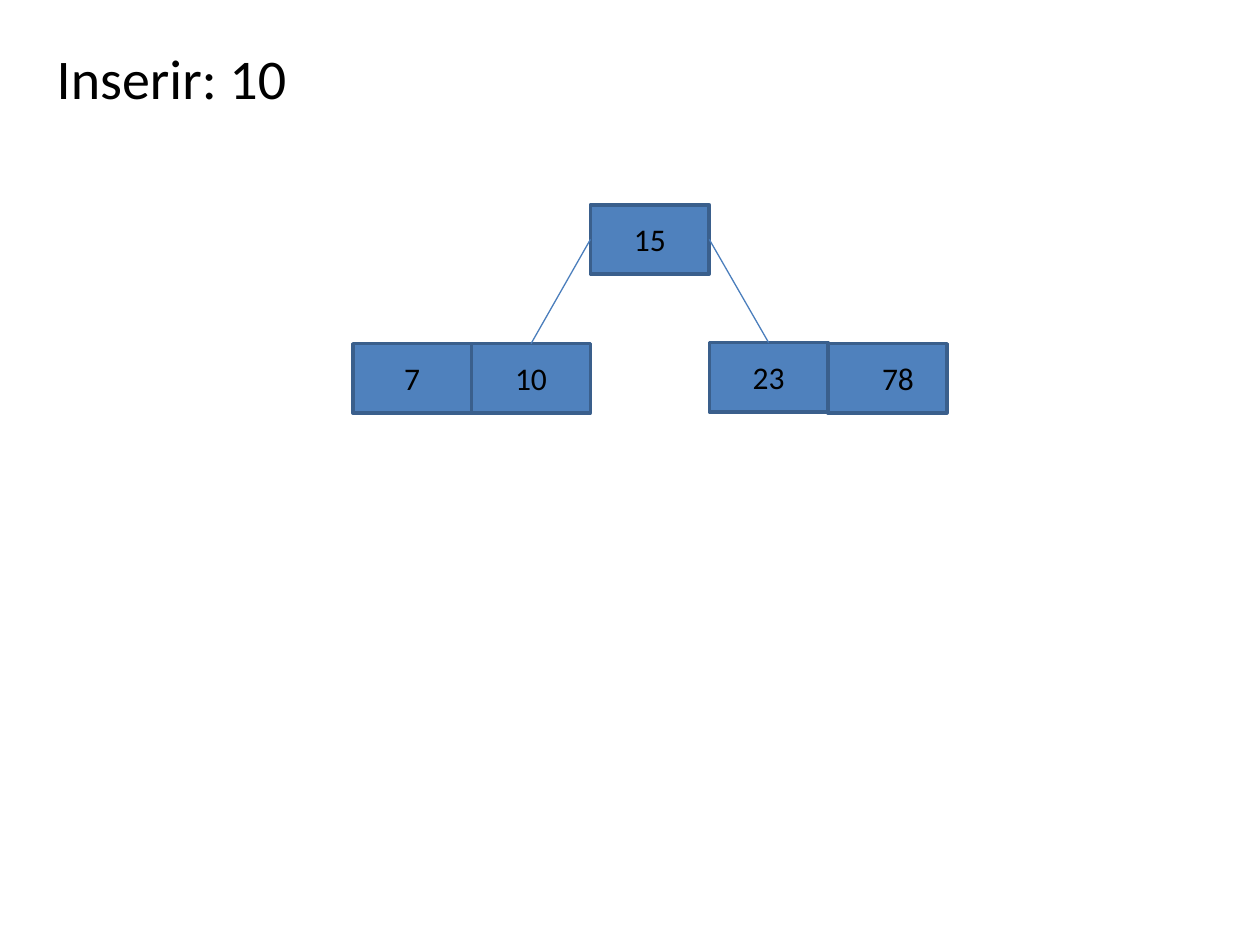
from pptx import Presentation
from pptx.dml.color import RGBColor
from pptx.enum.shapes import MSO_CONNECTOR as Connector, MSO_SHAPE as Shape
from pptx.enum.text import MSO_ANCHOR as Anchor, MSO_AUTO_SIZE as AutoSize, PP_ALIGN as Align
from pptx.oxml.ns import qn
from pptx.util import Pt
from lxml.etree import SubElement

BLACK = RGBColor(0x00, 0x00, 0x00)
CELL_FILL = RGBColor(0x4F, 0x81, 0xBD)
CELL_BORDER = RGBColor(0x3A, 0x5F, 0x8C)
BRANCH_COLOR = RGBColor(0x4B, 0x7E, 0xBC)

TREE_LEFT = 201.6
CELL_WIDTH, CELL_HEIGHT = 67.9, 39.6
LABEL_WIDTH, LABEL_HEIGHT = 56.8, 29
ROOT_TOP, LEAF_TOP = 117, 196.4


def write_text(frame, text, size=18, align=Align.CENTER, color=BLACK, font="Calibri"):
    frame.word_wrap = True
    frame.vertical_anchor = Anchor.TOP
    paragraph = frame.paragraphs[0]
    paragraph.alignment = align
    paragraph.space_before = Pt(0)
    run = paragraph.add_run()
    run.text = text
    run.font.size = Pt(size)
    run.font.name = font
    run.font.color.rgb = color


def add_heading(slide, text):
    heading = slide.placeholders[1]
    heading.left, heading.top = Pt(25.2), Pt(21)
    heading.width, heading.height = Pt(476), Pt(51)
    write_text(heading.text_frame, text, size=32, align=Align.LEFT)


def column_left(column):
    return TREE_LEFT + column * CELL_WIDTH


def add_key(slide, key, column, top, label_shift=0):
    left = column_left(column)
    cell = slide.shapes.add_shape(
        Shape.RECTANGLE, Pt(left), Pt(top), Pt(CELL_WIDTH), Pt(CELL_HEIGHT))
    cell.shadow.inherit = False
    cell.fill.solid()
    cell.fill.fore_color.rgb = CELL_FILL
    cell.line.color.rgb = CELL_BORDER
    cell.line.width = Pt(2)
    label = slide.shapes.add_textbox(
        Pt(left + (CELL_WIDTH - LABEL_WIDTH) / 2 + label_shift),
        Pt(top + (CELL_HEIGHT - LABEL_HEIGHT) / 2),
        Pt(LABEL_WIDTH), Pt(LABEL_HEIGHT))
    write_text(label.text_frame, key)
    label.text_frame.auto_size = AutoSize.SHAPE_TO_FIT_TEXT


def add_branch(slide, root_edge, child_column, child_top):
    branch = slide.shapes.add_connector(
        Connector.STRAIGHT,
        Pt(column_left(root_edge)), Pt(ROOT_TOP + CELL_HEIGHT / 2),
        Pt(column_left(child_column + 0.5)), Pt(child_top))
    branch.line.color.rgb = BRANCH_COLOR
    branch.line.width = Pt(0.75)
    SubElement(branch.element.spPr, qn("a:effectLst"))


def main():
    deck = Presentation()
    deck.slide_width, deck.slide_height = Pt(720), Pt(540)
    slide = deck.slides.add_slide(deck.slide_layouts[0])
    unused_title = slide.shapes.title.element
    unused_title.getparent().remove(unused_title)

    add_heading(slide, "Inserir: 10")
    right_top = LEAF_TOP - 0.6
    add_key(slide, "10", 1, LEAF_TOP)
    add_key(slide, "15", 2, ROOT_TOP)
    add_key(slide, "23", 3, right_top)
    add_branch(slide, 2, 1, LEAF_TOP)
    add_branch(slide, 3, 3, right_top)
    add_key(slide, "78", 4, LEAF_TOP, label_shift=6)
    add_key(slide, "7", 0, LEAF_TOP)
    deck.save("out.pptx")


if __name__ == "__main__":
    main()
